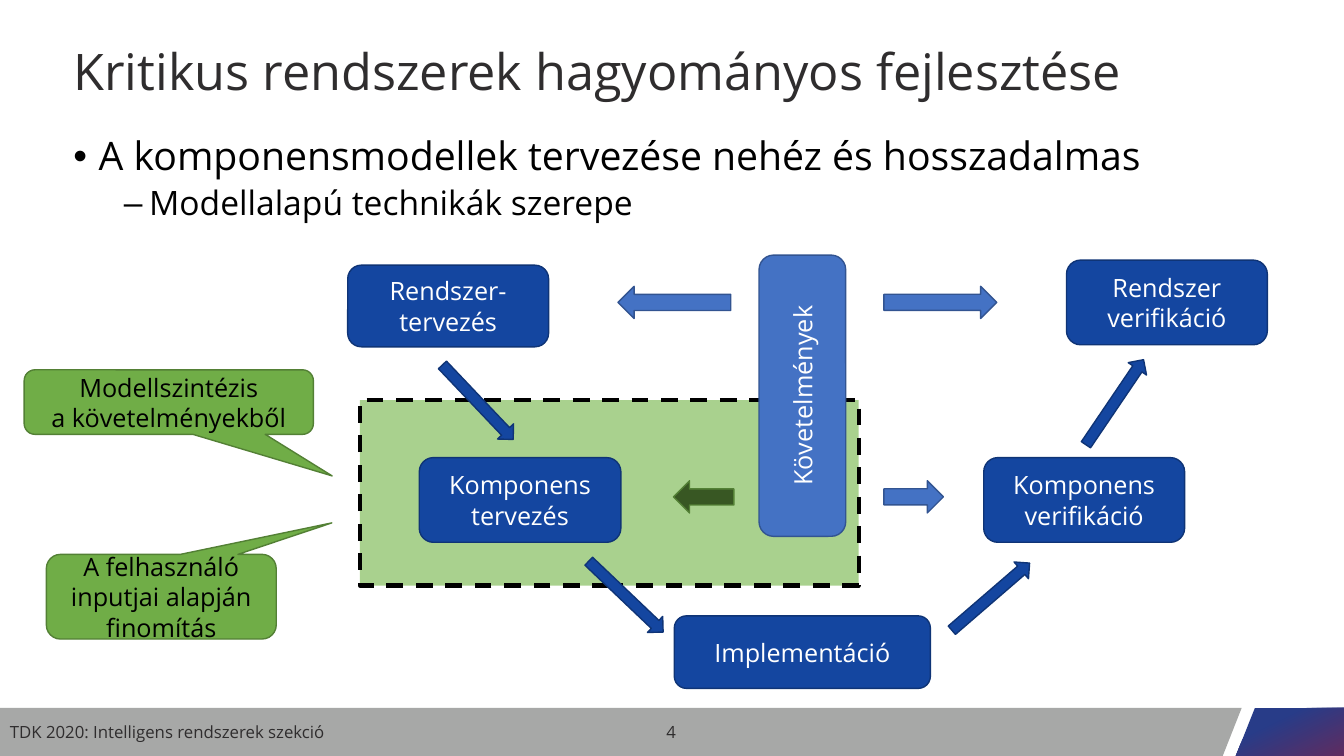
"""Builds the slide on the traditional development of critical systems."""
from dataclasses import dataclass

from lxml.etree import SubElement
from pptx import Presentation
from pptx.dml.color import RGBColor
from pptx.enum.dml import MSO_LINE
from pptx.enum.shapes import MSO_SHAPE as SHAPE
from pptx.enum.text import MSO_ANCHOR as ANCHOR, PP_ALIGN as ALIGN
from pptx.oxml.ns import qn
from pptx.util import Pt


@dataclass(frozen=True)
class Theme:
    font: str = "Open Sans"
    black: str = "000000"
    white: str = "FFFFFF"
    ink: str = "2F2D2E"
    bar: str = "A7A8A7"
    badge: tuple = ("283C88", "5F2C60")
    zone: str = "A9D18E"
    navy: tuple = ("1446A0", "0F3476")
    blue: tuple = ("4472C4", "325491")
    green: tuple = ("70AD47", "538035")
    dark_green: tuple = ("385723", "538035")
    title: int = 36
    body: int = 28
    sub: int = 24
    label: int = 18
    footer: int = 12


T = Theme()


def rgb(code):
    return RGBColor.from_string(code)


def add_bullet(p, char, left, hanging):
    pPr = p._p.get_or_add_pPr()
    pPr.set("marL", str(Pt(left)))
    pPr.set("indent", str(-Pt(hanging)))
    SubElement(pPr, qn("a:buFont")).set("typeface", "Arial")
    SubElement(pPr, qn("a:buChar")).set("char", char)


def write(p, text, size=T.label, color=T.black, align=ALIGN.LEFT,
          spacing=None, before=None, bullet=None, left=0, hanging=18):
    p.alignment = align
    if spacing:
        p.line_spacing = spacing
    if before:
        p.space_before = Pt(before)
    if bullet:
        add_bullet(p, bullet, left, hanging)
    r = p.add_run()
    r.text = text
    r.font.name = T.font
    r.font.size = Pt(size)
    r.font.color.rgb = rgb(color)


def add_text(s, box, text, anchor=ANCHOR.MIDDLE, **fmt):
    tf = s.shapes.add_textbox(*map(Pt, box)).text_frame
    tf.word_wrap = True
    tf.vertical_anchor = anchor
    write(tf.paragraphs[0], text, **fmt)
    return tf


def add_block(s, kind, box, colors, lines=(), color=T.white, rotation=0, adjust=()):
    sp = s.shapes.add_shape(kind, *map(Pt, box))
    sp.shadow.inherit = False
    sp.rotation = rotation
    fill, line = colors
    sp.fill.solid()
    sp.fill.fore_color.rgb = rgb(fill)
    sp.line.color.rgb = rgb(line)
    sp.line.width = Pt(1)
    for i, value in enumerate(adjust):
        sp.adjustments[i] = value
    tf = sp.text_frame
    tf.word_wrap = True
    tf.vertical_anchor = ANCHOR.MIDDLE
    for i, line_text in enumerate(lines):
        p = tf.add_paragraph() if i else tf.paragraphs[0]
        write(p, line_text, color=color, align=ALIGN.CENTER)
    return sp


def add_polygon(s, points):
    start, *rest = [(Pt(x), Pt(y)) for x, y in points]
    builder = s.shapes.build_freeform(*start)
    builder.add_line_segments(rest, close=True)
    sp = builder.convert_to_shape()
    sp.shadow.inherit = False
    sp.line.fill.background()
    return sp


def add_footer(s):
    bar = add_polygon(s, [(0, 505.6), (887, 505.6), (873.4, 540), (0, 540)])
    bar.fill.solid()
    bar.fill.fore_color.rgb = rgb(T.bar)
    badge = add_polygon(s, [(896.4, 505.6), (960, 505.6), (960, 540), (882.7, 540)])
    badge.fill.gradient()
    badge.fill.gradient_angle = 296
    for stop, color, position in zip(badge.fill.gradient_stops, T.badge, (0.32, 1)):
        stop.color.rgb = rgb(color)
        stop.position = position
    add_text(s, (0, 507.6, 324, 30.2), "TDK 2020: Intelligens rendszerek szekció",
             size=T.footer, color=T.ink)
    add_text(s, (371.5, 507.6, 216, 30.2), "4",
             size=T.footer, color=T.ink, align=ALIGN.CENTER)


def add_heading(s):
    add_text(s, (45.4, 24.5, 867.6, 56.9), "Kritikus rendszerek hagyományos fejlesztése",
             size=T.title, color=T.ink, spacing=0.9)
    tf = add_text(s, (45.4, 94.3, 867.6, 397.4),
                  "A komponensmodellek tervezése nehéz és hosszadalmas",
                  anchor=ANCHOR.TOP, size=T.body, spacing=0.9, bullet="•", left=18)
    write(tf.add_paragraph(), "Modellalapú technikák szerepe",
          size=T.sub, spacing=0.9, before=5, bullet="–", left=54)


def add_zone(s):
    zone = add_block(s, SHAPE.RECTANGLE, (257, 285.8, 356.4, 132.5), (T.zone, T.black))
    zone.line.width = Pt(3)
    zone.line.dash_style = MSO_LINE.DASH


def add_callouts(s):
    for box, tip, lines in (
        ((17.3, 264.2, 206.6, 46.1), (0.565, 1.144),
         ("Modellszintézis", "a követelményekből")),
        ((33.1, 396, 164.2, 60.5), (0.742, -0.872),
         ("A felhasználó inputjai alapján finomítás",)),
    ):
        add_block(s, SHAPE.ROUNDED_RECTANGULAR_CALLOUT, box, T.green, lines,
                  color=T.black, adjust=(*tip, 0.167))


def add_steps(s):
    for box, lines in (
        ((248.4, 189.4, 143.5, 58.3), ("Rendszer-", "tervezés")),
        ((299.5, 326.9, 144, 60.5), ("Komponens", "tervezés")),
        ((481.7, 439.9, 182.9, 51.8), ("Implementáció",)),
        ((702.7, 326.9, 143.5, 60.5), ("Komponens", "verifikáció")),
        ((761.8, 185.8, 143.5, 60.5), ("Rendszer", "verifikáció")),
    ):
        add_block(s, SHAPE.ROUNDED_RECTANGLE, box, T.navy, lines)
    for x, y, rotation in ((304.6, 279.4, 46.5), (410.4, 418.3, 43.6),
                           (671, 418.3, 319.2), (759.6, 279.4, 304.1)):
        add_block(s, SHAPE.RIGHT_ARROW, (x, y, 73.4, 15.8), T.navy, rotation=rotation)


def add_requirements(s):
    sp = add_block(s, SHAPE.ROUNDED_RECTANGLE, (542.2, 182.2, 61.9, 200.9),
                   T.blue, ("Követelmények",))
    sp.element.txBody.bodyPr.set("vert", "vert270")
    for x, y, width, rotation, colors in (
        (441.4, 204.5, 80.6, 180, T.blue),
        (631.4, 204.5, 80.6, 0, T.blue),
        (481, 343.4, 43.2, 180, T.dark_green),
        (631.4, 343.4, 42.5, 0, T.blue),
    ):
        add_block(s, SHAPE.RIGHT_ARROW, (x, y, width, 23), colors, rotation=rotation)


def main():
    prs = Presentation()
    prs.slide_width, prs.slide_height = Pt(960), Pt(540)
    s = prs.slides.add_slide(prs.slide_layouts[6])
    add_footer(s)
    add_heading(s)
    add_zone(s)
    add_callouts(s)
    add_steps(s)
    add_requirements(s)
    prs.save("out.pptx")


if __name__ == "__main__":
    main()
